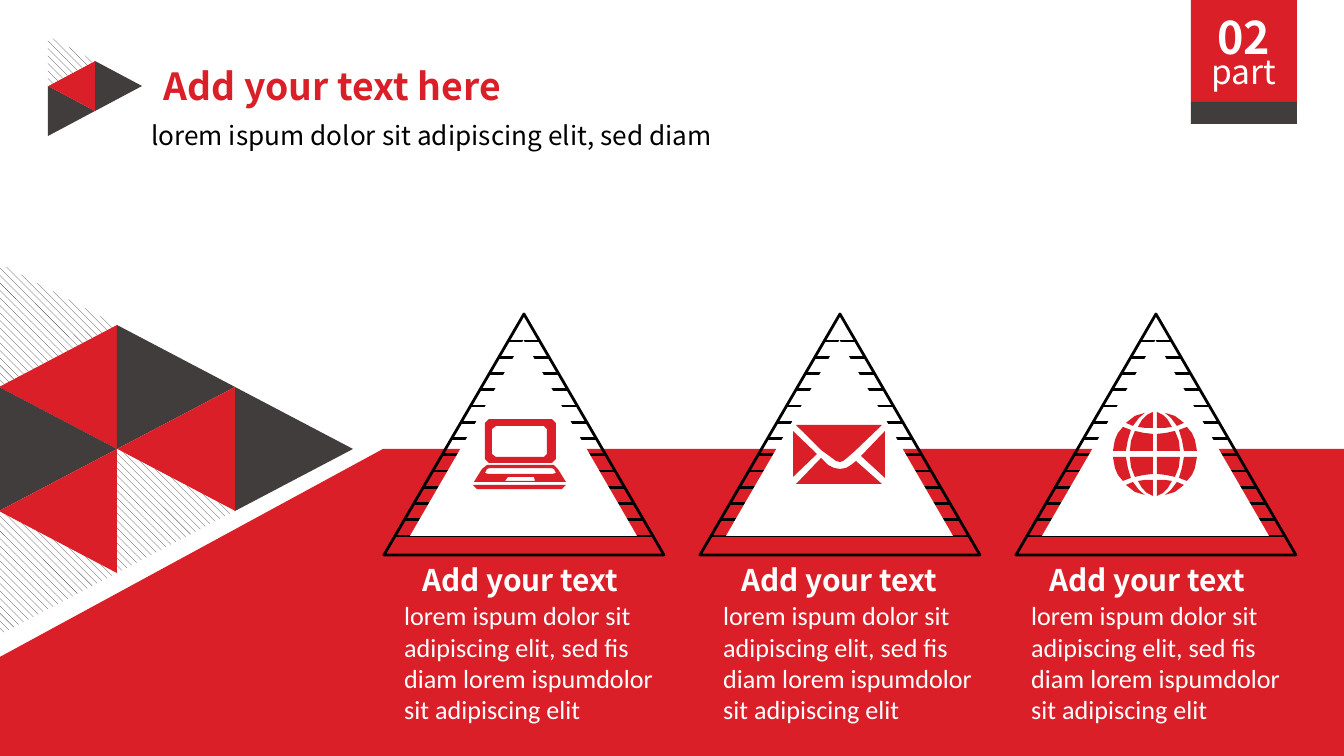
from dataclasses import dataclass
from itertools import product

from pptx import Presentation
from pptx.dml.color import RGBColor
from pptx.enum.dml import MSO_PATTERN
from pptx.enum.shapes import MSO_CONNECTOR, MSO_SHAPE
from pptx.enum.text import MSO_ANCHOR, PP_ALIGN
from pptx.oxml.ns import qn
from pptx.util import Pt
from lxml.etree import SubElement


@dataclass(frozen=True)
class Theme:
    red: str = "DA1F28"
    dark: str = "403D3C"
    white: str = "FFFFFF"
    black: str = "000000"
    head_font: str = "Noto Sans CJK SC"
    body_font: str = "Calibri"
    number: int = 24
    title: int = 20
    badge: int = 18
    heading: int = 16
    body: int = 14
    line: float = 1.5


T = Theme()
SCALE = 914400 / 134.4  # EMU per px
WIDTH, HEIGHT = 1344, 756
HATCH = "hatch"

# Tiles: column, half-row, pointing right, fill
LOGO_TILES = [(0, 2, True, T.dark), (1, 1, True, T.dark),
              (0, 1, False, T.red), (0, 0, True, HATCH)]
MOSAIC_TILES = [(0, 0, True, HATCH), (0, 1, False, T.red), (0, 2, True, T.dark),
                (1, 1, True, T.dark), (0, 4, True, HATCH), (2, 2, True, T.dark),
                (0, 3, False, T.red), (1, 2, False, T.red), (1, 3, True, HATCH)]

# Icon outlines, relative to the left top of their pyramid
LAPTOP = [
    [(105, 105), (168, 105), (172, 109), (172, 145), (168, 149),
     (105, 149), (101, 145), (101, 109)],
    [(112, 112), (160, 112), (163, 115), (163, 140), (160, 143),
     (112, 143), (108, 140), (108, 115)],
    [(103, 151), (170, 151), (174, 155), (182, 168), (90, 168), (98, 155)],
    [(121, 167), (124, 163), (150, 163), (151, 167)],
    [(105, 160), (101, 159), (103, 155), (106, 154), (167, 154),
     (170, 155), (172, 159), (168, 160)],
    [(89, 171), (182, 171), (178, 175), (93, 175)],
]
ENVELOPE = [
    [(93, 117), (93, 163), (117, 140)],
    [(96, 111), (182, 111), (156, 136), (147, 144), (143, 147), (140, 148),
     (136, 147), (132, 144), (121, 136)],
    [(96, 170), (121, 144), (128, 151), (134, 154), (140, 155), (146, 154),
     (151, 151), (156, 147), (182, 170)],
    [(185, 117), (185, 164), (161, 142)],
]
GLOBE_CENTRE = 139, 140
GLOBE_QUARTER = [
    [(29, -3), (42, -3), (40, -14), (37, -21), (32, -27), (24, -24), (27, -14)],
    [(2, -3), (2, -20), (11, -21), (20, -23), (24, -13), (25, -3)],
    [(2, -42), (2, -26), (10, -26), (17, -27), (13, -34), (8, -39)],
    [(10, -41), (16, -36), (22, -28), (29, -31), (20, -38)],
]

BODY = ("lorem ispum dolor sit adipiscing elit, sed fis "
        "diam lorem ispumdolor sit adipiscing elit")


def px(n):
    return round(n * SCALE)


def box(x, y, w, h):
    return px(x), px(y), px(w), px(h)


def rgb(color):
    return RGBColor.from_string(color)


def paint(shape, fill=None, line=None):
    shape.shadow.inherit = False
    if fill is None:
        shape.fill.background()
    elif fill == HATCH:
        shape.fill.patterned()
        shape.fill.pattern = MSO_PATTERN.WIDE_DOWNWARD_DIAGONAL
        shape.fill.fore_color.rgb = rgb(T.dark)
        shape.fill.back_color.rgb = rgb(T.white)
    else:
        shape.fill.solid()
        shape.fill.fore_color.rgb = rgb(fill)
    if line:
        shape.line.color.rgb = rgb(line)
        shape.line.width = Pt(T.line)
    else:
        shape.line.fill.background()


def add_preset(sp, kind, x, y, w, h, fill=None, line=None):
    shape = sp.add_shape(kind, *box(x, y, w, h))
    paint(shape, fill, line)
    return shape


def add_outline(sp, contours, fill, dx=0, dy=0):
    moved = [[(x + dx, y + dy) for x, y in c] for c in contours]
    builder = sp.build_freeform(*moved[0][0], scale=SCALE)
    for i, (start, *rest) in enumerate(moved):
        if i:
            builder.move_to(*start)
        builder.add_line_segments(rest, close=True)
    paint(builder.convert_to_shape(), fill)


def add_rule(sp, x1, x2, y):
    line = sp.add_connector(MSO_CONNECTOR.STRAIGHT, px(x1), px(y), px(x2), px(y))
    line.line.color.rgb = rgb(T.black)
    line.line.width = Pt(T.line)
    SubElement(line._element.spPr, qn("a:effectLst"))


def write(shape, text, size, color, bold=False, font=T.head_font,
          align=PP_ALIGN.LEFT):
    tf = shape.text_frame
    tf.word_wrap = True
    tf.vertical_anchor = MSO_ANCHOR.TOP
    p = tf.paragraphs[0]
    p.alignment = align
    r = p.add_run()
    r.text = text
    r.font.name, r.font.size, r.font.bold = font, Pt(size), bold
    r.font.color.rgb = rgb(color)


def add_text(sp, x, y, w, h, text, size, color, **style):
    write(sp.add_textbox(*box(x, y, w, h)), text, size, color, **style)


def add_tiles(sp, x, y, w, h, tiles):
    """Sideways triangles w by h, each row half a tile lower."""
    group = sp.add_group_shape().shapes
    for col, row, right, fill in tiles:
        cx, cy = x + col * w + w / 2, y + row * h / 2 + h / 2
        tile = add_preset(group, MSO_SHAPE.ISOSCELES_TRIANGLE,
                          cx - h / 2, cy - w / 2, h, w, fill)
        tile.rotation = 90 if right else 270


def add_pyramid(sp, x, y):
    w, h, rungs = 280, 241, 13
    group = sp.add_group_shape().shapes
    add_preset(group, MSO_SHAPE.ISOSCELES_TRIANGLE, x, y, w, h, line=T.black)
    for i in range(rungs):
        rise = 19 + i * 16.25
        inset = rise / h * w / 2
        add_rule(group, x + inset, x + w - inset, y + h - rise)
    add_preset(sp, MSO_SHAPE.ISOSCELES_TRIANGLE, x + 26, y + 26, 227, 196, T.white)


def globe():
    cx, cy = GLOBE_CENTRE
    return [[(cx + sx * x, cy + sy * y) for x, y in piece]
            for sx, sy, piece in product((1, -1), (1, -1), GLOBE_QUARTER)]


def add_badge(sp, number, label):
    x, w = 1191, 106
    group = sp.add_group_shape().shapes
    add_preset(group, MSO_SHAPE.RECTANGLE, x, 0, w, 102, T.red)
    add_preset(group, MSO_SHAPE.RECTANGLE, x, 102, w, 22, T.dark)
    add_text(group, x, 3, w, 67, number, T.number, T.white, bold=True,
             align=PP_ALIGN.CENTER)
    add_text(group, x, 44, w, 54, label, T.badge, T.white, align=PP_ALIGN.CENTER)


def main():
    prs = Presentation()
    prs.slide_width, prs.slide_height = px(WIDTH), px(HEIGHT)
    s = prs.slides.add_slide(prs.slide_layouts[5])
    sp = s.shapes

    # Header
    add_tiles(sp, 48, 36, 47, 50, LOGO_TILES)
    title = sp.title
    title.left, title.top, title.width, title.height = box(118, 56, 429, 59)
    write(title, "Add your text here", T.title, T.red, bold=True,
          align=PP_ALIGN.CENTER)
    add_badge(sp, "02", "part")
    add_text(sp, 138, 113, 638, 46,
             "lorem ispum dolor sit adipiscing elit, sed diam", T.body, T.black)

    # Triangle mosaic and red ground
    add_tiles(sp, -1, 263, 118, 124, MOSAIC_TILES)
    add_outline(sp, [[(383, 449), (WIDTH, 449), (WIDTH, HEIGHT), (0, HEIGHT),
                      (0, 657)]], T.red)

    # Three pyramids with icon, heading and text
    for i, (icon, text_x) in enumerate([(LAPTOP, 372), (ENVELOPE, 691),
                                        (globe(), 999)]):
        x, y = 384 + i * 316, 314
        add_pyramid(sp, x, y)
        add_outline(sp, icon, T.red, x, y)
        add_text(sp, text_x, 555, 296, 50, "Add your text", T.heading, T.white,
                 bold=True, align=PP_ALIGN.CENTER)
        add_text(sp, text_x + 19, 593, 280, 140, BODY, T.body, T.white,
                 font=T.body_font)

    prs.save("out.pptx")


if __name__ == "__main__":
    main()
